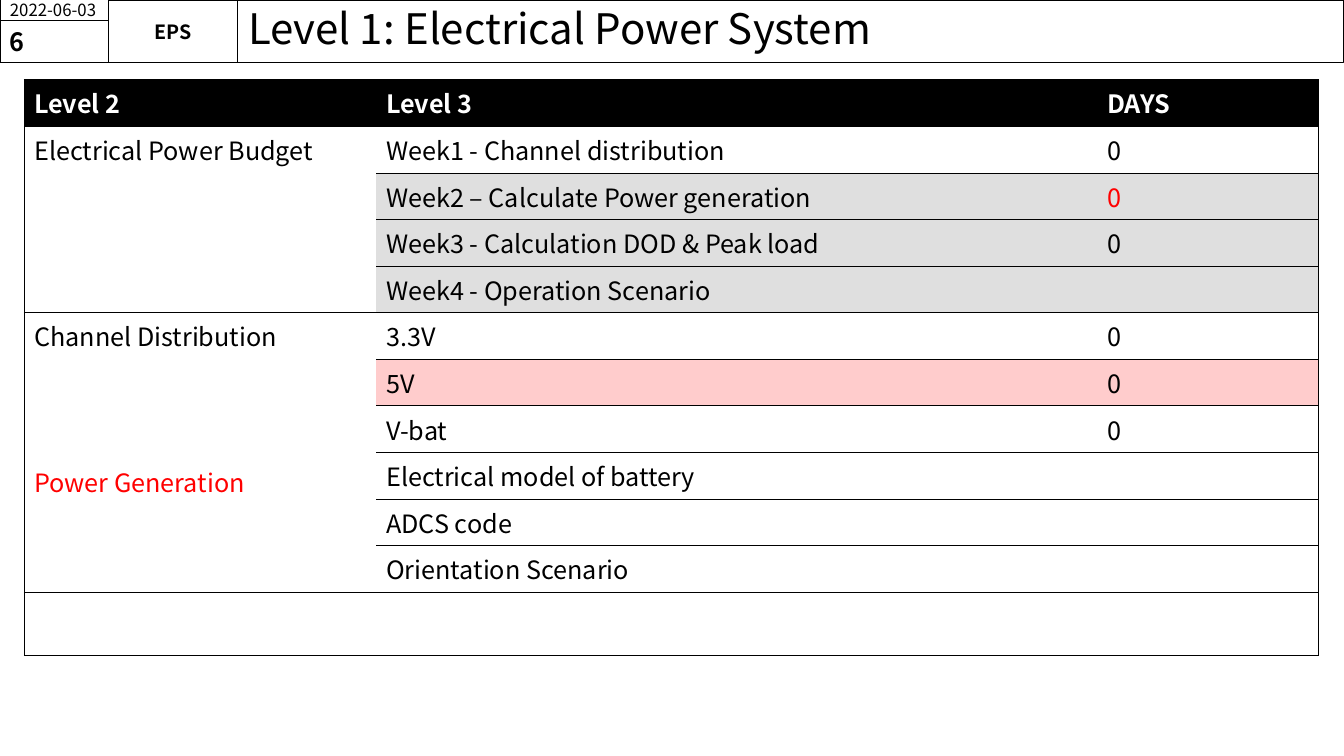
import pptx
import pptx.util
import pptx.dml.color
import pptx.enum.text
import pptx.oxml.ns
import lxml.etree

Inches, Pt = pptx.util.Inches, pptx.util.Pt
PP_ALIGN = pptx.enum.text.PP_ALIGN
FONT = "Noto Sans CJK KR"
COLORS = {"black": "000000", "white": "FFFFFF", "red": "FF0000", "grey": "DFDFDF", "pink": "FFCCCC"}
NO_GRID_STYLE = "{2D5ABB26-0587-4C30-8999-92F81FD0307C}"
COLUMNS = [3.49, 7.15, 2.2]
ROW_H, LAST_ROW_H = 0.4625, 0.63
BLOCKS = [
    (["Electrical Power Budget"], [
        ("Week1 - Channel distribution", "0", "white", "black"),
        ("Week2 – Calculate Power generation", "0", "grey", "red"),
        ("Week3 - Calculation DOD & Peak load", "0", "grey", "black"),
        ("Week4 - Operation Scenario", "", "grey", "black"),
    ]),
    (["Channel Distribution", "Power Generation"], [
        ("3.3V", "0", "white", "black"),
        ("5V", "0", "pink", "black"),
        ("V-bat", "0", "white", "black"),
        ("Electrical model of battery", "", "white", "black"),
        ("ADCS code", "", "white", "black"),
        ("Orientation Scenario", "", "white", "black"),
    ]),
]


def rgb(name):
    """Return the named colour."""
    return pptx.dml.color.RGBColor.from_string(COLORS[name])


def write(p, text, size=18, bold=False, color="black"):
    """Fill a paragraph with formatted text."""
    p.text = text
    for key, value in {"name": FONT, "size": Pt(size), "bold": bold}.items():
        setattr(p.font, key, value)
    p.font.color.rgb = rgb(color)


def frame(sp, box, inset=0.1):
    """Place a header cell and give it its thin outline."""
    for key, value in zip(("left", "top", "width", "height"), box):
        setattr(sp, key, Inches(value))
    sp.fill.background()
    sp.line.color.rgb = rgb("black")
    sp.line.width = Pt(0.75)
    tf = sp.text_frame
    formats = {"word_wrap": True, "vertical_anchor": pptx.enum.text.MSO_ANCHOR.MIDDLE,
               "auto_size": pptx.enum.text.MSO_AUTO_SIZE.NONE,
               "margin_left": Inches(inset), "margin_right": Inches(inset),
               "margin_top": Inches(inset / 2), "margin_bottom": Inches(inset / 2)}
    for key, value in formats.items():
        setattr(tf, key, value)
    return tf.paragraphs[0]


def add_header(s, left, top, width, height):
    """Build the strip with date, page number, subsystem and title."""
    date_w, tag_w, date_h = 1.08, 1.28, 0.2
    title_x = left + date_w + tag_w
    p = frame(s.shapes.title, (title_x, top, left + width - title_x, height))
    write(p, "Level 1: Electrical Power System", 30)
    p.alignment, p.line_spacing = PP_ALIGN.LEFT, 0.9
    cells = [
        ("2022-06-03", (left, top, date_w, date_h), 12, False, PP_ALIGN.LEFT, 0.1),
        ("EPS", (left + date_w, top, tag_w, height), 14, True, PP_ALIGN.CENTER, 0),
        ("6", (left, top + date_h, date_w, height - date_h), 18, True, PP_ALIGN.LEFT, 0.1),
    ]
    for text, box, size, bold, align, inset in cells:
        sp = s.shapes.add_shape(pptx.enum.shapes.MSO_SHAPE.RECTANGLE, 0, 0, 0, 0)
        sp.shadow.inherit = False
        p = frame(sp, box, inset)
        write(p, text, size, bold)
        p.alignment = align


def set_borders(cell, sides):
    """Draw thin black lines on the given sides of a cell."""
    qn = pptx.oxml.ns.qn
    tc_pr = cell._tc.get_or_add_tcPr()
    for i, side in enumerate(x for x in "LRTB" if x in sides):
        ln = lxml.etree.Element(qn("a:ln" + side), w=str(Pt(0.5)))
        fill = lxml.etree.SubElement(ln, qn("a:solidFill"))
        lxml.etree.SubElement(fill, qn("a:srgbClr"), val=COLORS["black"])
        tc_pr.insert(i, ln)


def fill_row(table, row, texts, fills, colors, bold=False):
    """Write one table row with its fills."""
    for col, (text, fill, color) in enumerate(zip(texts, fills, colors)):
        cell = table.cell(row, col)
        cell.fill.solid()
        cell.fill.fore_color.rgb = rgb(fill)
        write(cell.text_frame.paragraphs[0], text, bold=bold, color=color)


def add_schedule(s, left, top):
    """Build the table of work packages and days."""
    count = 2 + sum(len(tasks) for _, tasks in BLOCKS)
    heights = [ROW_H] * (count - 1) + [LAST_ROW_H]
    gf = s.shapes.add_table(count, len(COLUMNS), Inches(left), Inches(top),
                            Inches(sum(COLUMNS)), Inches(sum(heights)))
    table = gf.table
    table.horz_banding = table.first_row = False
    gf._element.find(".//" + pptx.oxml.ns.qn("a:tableStyleId")).text = NO_GRID_STYLE
    for col, width in zip(table.columns, COLUMNS):
        col.width = Inches(width)
    for row, height in zip(table.rows, heights):
        row.height = Inches(height)
    fill_row(table, 0, ["Level 2", "Level 3", "DAYS"], ["black"] * 3, ["white"] * 3, True)
    fill_row(table, count - 1, [""] * 3, ["white"] * 3, ["black"] * 3)
    starts, row = {0, count - 1}, 1
    for names, tasks in BLOCKS:
        starts.add(row)
        first = table.cell(row, 0)
        for i, (task, days, fill, color) in enumerate(tasks):
            name = names[0] if i == 0 else ""
            fill_row(table, row + i, [name, task, days], ["white", fill, fill], ["black", "black", color])
        for name in names[1:]:
            p = first.text_frame.add_paragraph()
            write(p, name, color="red")
            p.space_before = Pt(78)
        row += len(tasks)
        first.merge(table.cell(row - 1, 0))
    for row in range(count):
        for col in range(len(COLUMNS)):
            cell = table.cell(row, col)
            sides = {0: "L", len(COLUMNS) - 1: "R"}.get(col, "")
            if col or row in starts:
                sides += "T"
            if col or row + 1 in starts | {count} or cell.is_merge_origin:
                sides += "B"
            set_borders(cell, sides)


def main():
    """Build and save the slide."""
    prs = pptx.Presentation()
    prs.slide_width, prs.slide_height = Inches(13.33), Inches(7.5)
    s = prs.slides.add_slide(prs.slide_layouts[5])
    add_header(s, 0, 0, 13.33, 0.62)
    add_schedule(s, 0.24, 0.79)
    prs.save("out.pptx")


if __name__ == "__main__":
    main()
